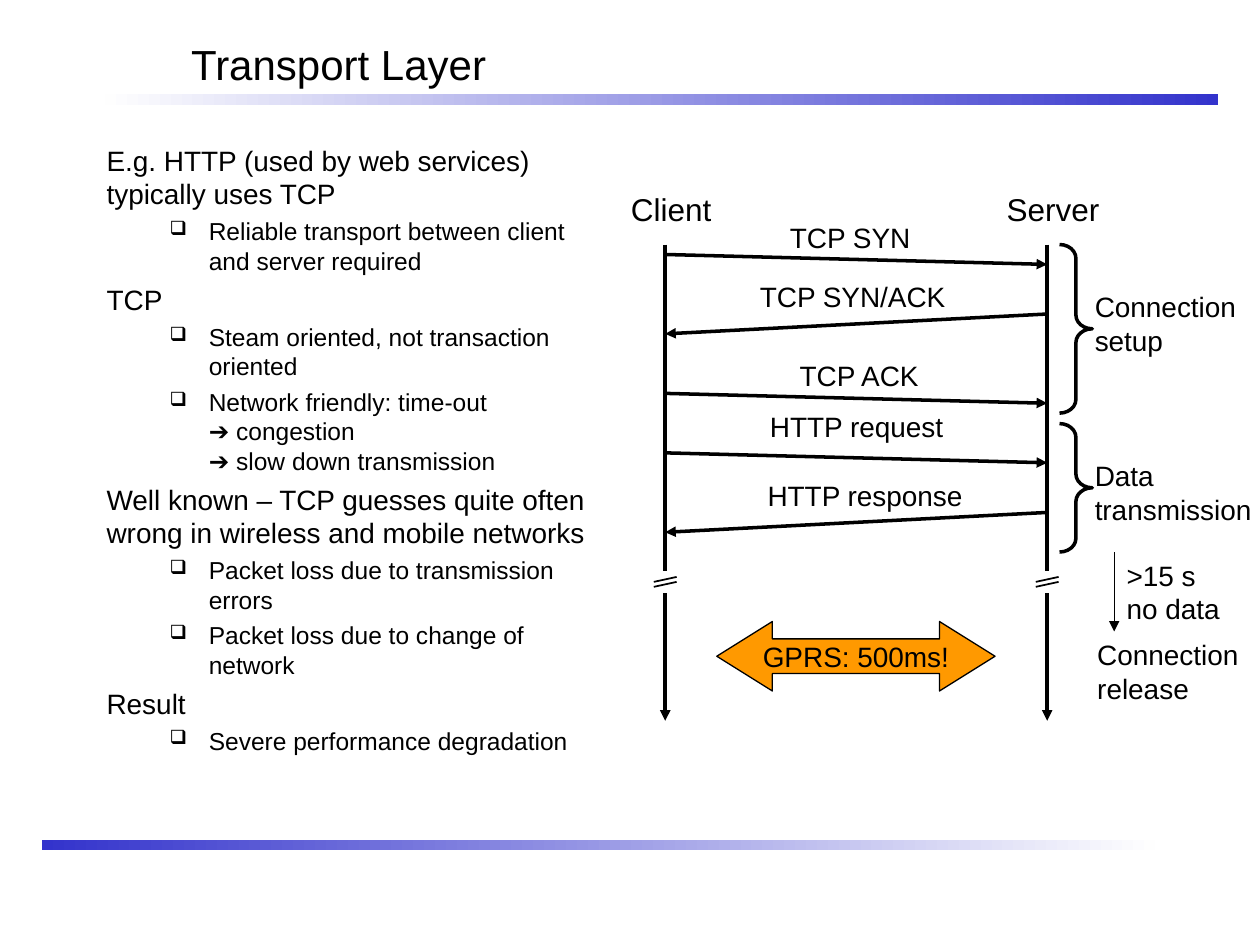
from lxml import etree
from pptx import Presentation
from pptx.dml.color import RGBColor
from pptx.enum.shapes import MSO_CONNECTOR, MSO_SHAPE
from pptx.enum.text import MSO_ANCHOR, PP_ALIGN
from pptx.oxml.ns import qn
from pptx.util import Cm, Pt

STRAIGHT = MSO_CONNECTOR.STRAIGHT
RECTANGLE = MSO_SHAPE.RECTANGLE
BRACE = MSO_SHAPE.RIGHT_BRACE
DOUBLE_ARROW = MSO_SHAPE.LEFT_RIGHT_ARROW
LEFT, CENTER = PP_ALIGN.LEFT, PP_ALIGN.CENTER
TOP, MIDDLE = MSO_ANCHOR.TOP, MSO_ANCHOR.MIDDLE

COLORS = {"text": "000000", "bar": "3333CC", "fade": "FEFEFE",
          "paper": "FFFFFF", "delay": "FF9900"}
FONT = "Arial"

# Outline: (level, text)
OUTLINE = [
    (0, "E.g. HTTP (used by web services) typically uses TCP"),
    (1, "Reliable transport between client and server required"),
    (0, "TCP"),
    (1, "Steam oriented, not transaction oriented"),
    (1, "Network friendly: time-out \n➔ congestion \n➔ slow down transmission"),
    (0, "Well known – TCP guesses quite often wrong in wireless and mobile networks"),
    (1, "Packet loss due to transmission errors"),
    (1, "Packet loss due to change of network"),
    (0, "Result"),
    (1, "Severe performance degradation"),
]
OUTLINE_FORMATS = [
    {"size": 16, "space": 4},
    {"size": 14, "space": 3.5},
]

# Messages: (text, label centre, label top, start, drop, sent by the client)
MESSAGES = [
    ("TCP SYN", 3.73, -0.61, 0.2, 0.2, True),
    ("TCP SYN/ACK", 3.78, 0.58, 1.4, 0.4, False),
    ("TCP ACK", 3.91, 2.18, 3.0, 0.2, True),
    ("HTTP request", 3.86, 3.2, 4.2, 0.2, True),
    ("HTTP response", 4.03, 4.6, 5.4, 0.4, False),
]
# Phases: (text, left, top, width), from the server lifeline
PHASES = [
    ("Connection\nsetup", 0.71, 0.79, 3.35),
    ("Data\ntransmission", 0.71, 4.19, 3.66),
    (">15 s\nno data", 1.35, 6.2, 2.39),
    ("Connection\nrelease", 0.76, 7.8, 3.35),
]
BRACES = [(0, 3.4), (3.61, 2.59)]  # top, height


def rgb(name):
    return RGBColor.from_string(COLORS[name])


def format_paragraph(paragraph, size, align=LEFT):
    paragraph.alignment = align
    for run in paragraph.runs:
        for key, value in {"name": FONT, "size": Pt(size)}.items():
            setattr(run.font, key, value)
        run.font.color.rgb = rgb("text")


def fill_text(frame, text, size, align=LEFT, anchor=TOP, wrap=False):
    frame.text = text
    for key, value in {"word_wrap": wrap, "vertical_anchor": anchor}.items():
        setattr(frame, key, value)
    for paragraph in frame.paragraphs:
        format_paragraph(paragraph, size, align)


def add_label(slide, box, text, size=16, align=LEFT):
    label = slide.shapes.add_textbox(*map(Cm, box))
    fill_text(label.text_frame, text, size, align)


def add_line(slide, start, end, width, arrow=False):
    line = slide.shapes.add_connector(STRAIGHT, *map(Cm, (*start, *end)))
    line.line.color.rgb = rgb("text")
    line.line.width = Pt(width)
    if arrow:
        etree.SubElement(line.line._get_or_add_ln(), qn("a:tailEnd"), type="triangle")
    etree.SubElement(line._element.spPr, qn("a:effectLst"))


def add_figure(slide, kind, box, fill=None, outline=None, width=1):
    figure = slide.shapes.add_shape(kind, *map(Cm, box))
    figure.shadow.inherit = False
    if fill:
        figure.fill.solid()
        figure.fill.fore_color.rgb = rgb(fill)
    else:
        figure.fill.background()
    if outline:
        figure.line.color.rgb = rgb(outline)
        figure.line.width = Pt(width)
    else:
        figure.line.fill.background()
    return figure


def add_bar(slide, box, colors):
    bar = add_figure(slide, RECTANGLE, box)
    bar.fill.gradient()
    bar.fill.gradient_angle = 0
    for stop, color in zip(bar.fill.gradient_stops, colors):
        stop.color.rgb = rgb(color)


def place_title(slide, box, text):
    title = slide.shapes.title
    for key, value in zip(("left", "top", "width", "height"), box):
        setattr(title, key, Cm(value))
    fill_text(title.text_frame, text, 24, anchor=MIDDLE, wrap=True)


def add_bullet(paragraph):
    properties = paragraph._p.get_or_add_pPr()
    properties.set("marL", str(Cm(2.06)))
    properties.set("indent", str(Cm(-0.79)))
    color = etree.SubElement(properties, qn("a:buClr"))
    etree.SubElement(color, qn("a:srgbClr"), val=COLORS["text"])
    etree.SubElement(properties, qn("a:buSzPct"), val="80000")
    etree.SubElement(properties, qn("a:buChar"), char="❑")


def build_outline(slide, box):
    frame = slide.shapes.add_textbox(*map(Cm, box)).text_frame
    frame.word_wrap = True
    for index, (level, text) in enumerate(OUTLINE):
        paragraph = frame.add_paragraph() if index else frame.paragraphs[0]
        paragraph.text = text
        paragraph.level = level
        if level:
            add_bullet(paragraph)
        style = OUTLINE_FORMATS[level]
        format_paragraph(paragraph, style["size"])
        if index:
            paragraph.space_before = Pt(style["space"])


def build_sequence(slide, box):
    client, top, width, height = box
    server = client + width

    # Lifelines with their heads and time breaks
    for name, x in (("Client", client), ("Server", server)):
        add_label(slide, (x - 1.38, top - 1.22, 3, 1.02), name, 18, CENTER)
        add_line(slide, (x, top), (x, top + height), 2, arrow=True)
        add_figure(slide, RECTANGLE, (x - 0.45, top + 6.6, 0.9, 0.41), "paper", "paper")
        for y in (top + 6.8, top + 6.9):
            add_line(slide, (x - 0.23, y), (x + 0.23, y - 0.1), 1)

    # Messages
    for text, center, label_top, start, drop, from_client in MESSAGES:
        ends = (client, server) if from_client else (server, client)
        add_line(slide, (ends[0], top + start), (ends[1], top + start + drop), 2, arrow=True)
        add_label(slide, (client + center - 2.25, top + label_top, 4.5, 0.94), text, align=CENTER)

    # Phases beside the server
    for offset, brace_height in BRACES:
        brace = add_figure(slide, BRACE, (server + 0.25, top + offset, 0.66, brace_height),
                           outline="text", width=2)
        brace.adjustments[0] = 0.42
    for text, left, offset, label_width in PHASES:
        add_label(slide, (server + left, top + offset, label_width, 1.63), text)
    add_line(slide, (server + 1.35, top + 6.2), (server + 1.35, top + 7.8), 0.75, arrow=True)

    # Round-trip delay
    delay = add_figure(slide, DOUBLE_ARROW, (client + 1.04, top + 7.6, 5.61, 1.4),
                       "delay", "text", 0.75)
    delay.adjustments[0], delay.adjustments[1] = 0.5, 0.8
    fill_text(delay.text_frame, "GPRS: 500ms!", 16, CENTER, MIDDLE)


def main():
    deck = Presentation()
    deck.slide_width, deck.slide_height = Cm(25.4), Cm(19.05)
    slide = deck.slides.add_slide(deck.slide_layouts[5])
    add_bar(slide, (2.12, 1.9, 22.44, 0.21), ("fade", "bar"))
    add_bar(slide, (0.85, 16.93, 22.44, 0.21), ("bar", "fade"))
    place_title(slide, (3.6, 0.64, 20.32, 1.27), "Transport Layer")
    build_outline(slide, (1.9, 2.76, 10.58, 14.18))
    build_sequence(slide, (13.41, 4.93, 7.7, 9.6))
    deck.save("out.pptx")


if __name__ == "__main__":
    main()
